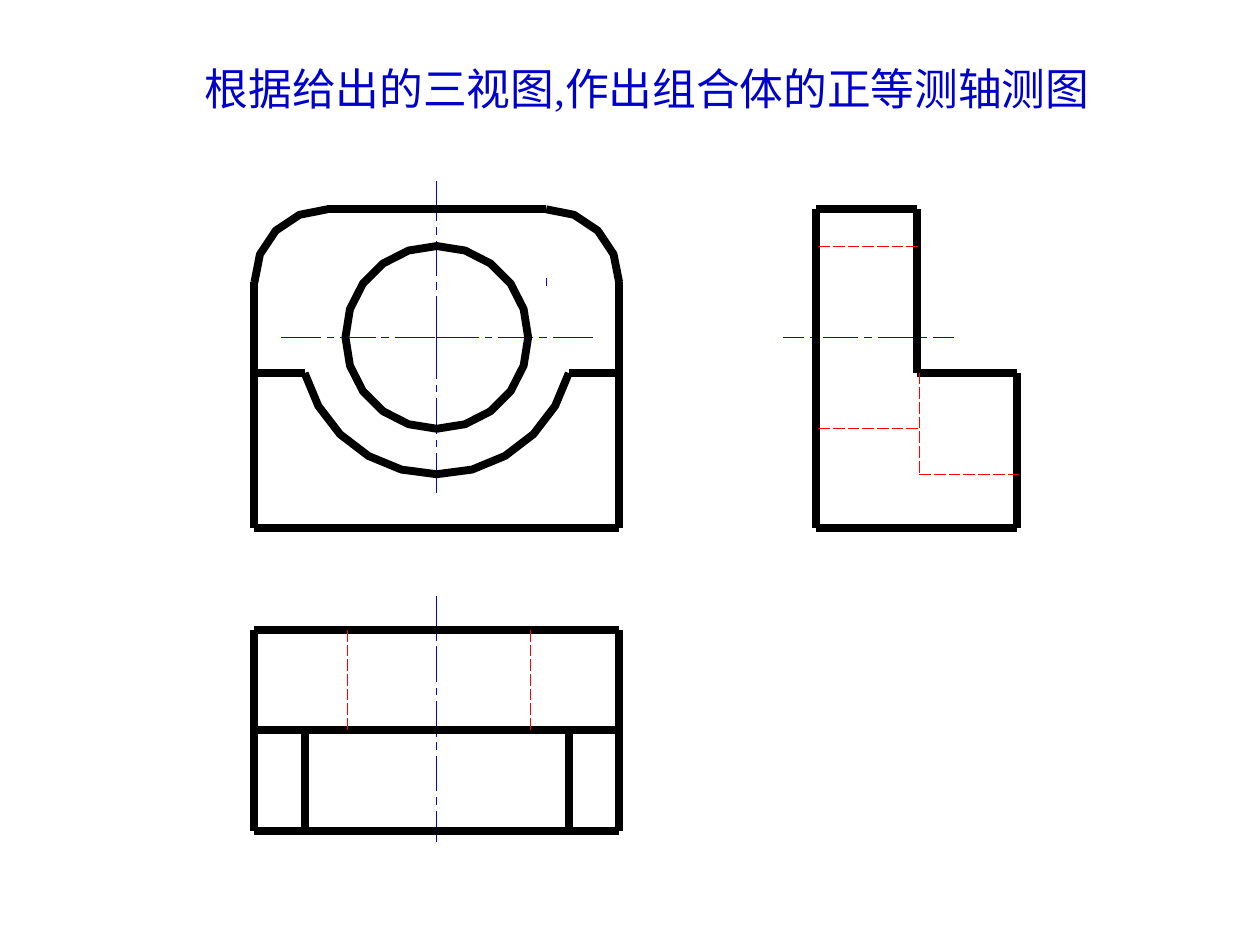
from dataclasses import dataclass
from itertools import pairwise
from math import asin, cos, degrees, radians, sin

from lxml.etree import SubElement
from pptx import Presentation
from pptx.dml.color import RGBColor as Color
from pptx.enum.dml import MSO_LINE as Dash
from pptx.enum.shapes import MSO_CONNECTOR as Link
from pptx.enum.text import MSO_ANCHOR as Anchor, PP_ALIGN as Align
from pptx.oxml.ns import qn
from pptx.util import Pt

Point = tuple[float, float]

HUES = {"edge": "000000", "axis": "0000FF", "hidden": "FF0000", "title": "0000CC"}


@dataclass(frozen=True)
class Pen:
    hue: str
    width: float = 0
    dash: Dash | None = None


@dataclass(frozen=True)
class Axis:
    start: Point
    end: Point
    marks: tuple[float, ...]


EDGE = Pen("edge", 4.5)
FINE = Pen("axis")
MARK = Pen("axis", 4.5)
HIDDEN = Pen("hidden", 0, Dash.LONG_DASH)

LEFT, MID, RIGHT = 145.4, 249.6, 353.8
TOP, STEP, BASE = 119.6, 213.2, 301.8
AXIS_Y = 192.8
ROUND, BORE, SEAT = 41.7, 52.2, 78.2
BACK, WALL, FRONT = 466.4, 524.2, 581.2
REAR, FOLD, NOSE = 360.2, 417.4, 474.8
SHIFT = 1.4
BEND = TOP + ROUND
INNER, OUTER = LEFT + ROUND, RIGHT - ROUND
TILT = degrees(asin((STEP - AXIS_Y) / SEAT))
REACH = SEAT * cos(radians(TILT))
NEAR, FAR = MID - REACH, MID + REACH

LONG, DOT, BAR = 22.4, 3.8, 19.6
HALF = (LONG, DOT, BAR, DOT, LONG)
PLAN = (17.4, DOT, BAR, DOT, BAR, DOT, BAR, DOT, 17.4)
SIDE = (11.4, DOT, BAR, DOT, BAR, DOT, 11.4)

AXES = [
    *(Axis((x, AXIS_Y), (x + 87.8, AXIS_Y), HALF) for x in (160.6, 250.8)),
    *(Axis((MID, y), (MID, y + 87.8), HALF) for y in (103.8, 193.8)),
    Axis((MID, 340.6), (MID, 481), PLAN),
    Axis((447.6, AXIS_Y), (544.6, AXIS_Y), SIDE),
]

CHAINS = [
    [(LEFT, BEND), (LEFT, STEP), (LEFT, BASE), (RIGHT, BASE), (RIGHT, STEP), (RIGHT, BEND)],
    [(INNER, TOP), (OUTER, TOP)],
    [(LEFT, STEP), (NEAR, STEP)],
    [(FAR, STEP), (RIGHT, STEP)],
    *([(x, y) for x in (LEFT, INNER, OUTER, RIGHT)] for y in (REAR, FOLD)),
    [(x, NOSE) for x in (LEFT, NEAR, FAR, RIGHT)],
    *([(x, REAR), (x, FOLD), (x, NOSE)] for x in (LEFT, RIGHT)),
    *([(x, FOLD), (x, NOSE)] for x in (NEAR, FAR)),
    [(BACK, TOP), (BACK, BEND), (BACK, BASE), (FRONT, BASE), (FRONT, STEP),
     (WALL, STEP), (WALL, BEND), (WALL, TOP), (BACK, TOP)],
]

DASHES = [
    *([(x + SHIFT, REAR), (x + SHIFT, FOLD)] for x in (MID - BORE, MID + BORE)),
    *([(BACK + SHIFT, y), (WALL + SHIFT, y)] for y in (AXIS_Y - BORE, AXIS_Y + BORE)),
    [(WALL + SHIFT, STEP), (WALL + SHIFT, AXIS_Y + SEAT), (FRONT + SHIFT, AXIS_Y + SEAT)],
]


def ink(item, pen: Pen) -> None:
    item.line.color.rgb = Color.from_string(HUES[pen.hue])
    if pen.dash:
        item.line.dash_style = pen.dash
    item.get_or_add_ln().set("w", str(Pt(pen.width)))


def chain(shapes, points: list[Point], pen: Pen) -> None:
    for (ax, ay), (bx, by) in pairwise(points):
        item = shapes.add_connector(Link.STRAIGHT, Pt(ax), Pt(ay), Pt(bx), Pt(by))
        ink(item, pen)
        SubElement(item._element.spPr, qn("a:effectLst"))


def arc(shapes, hub: Point, size: float, start: float, end: float, count: int) -> None:
    turns = [radians(start + (end - start) * i / count) for i in range(count + 1)]
    points = [(Pt(hub[0] + size * cos(t)), Pt(hub[1] + size * sin(t))) for t in turns]
    curve = shapes.build_freeform(*points[0])
    curve.add_line_segments(points[1:], close=False)
    item = curve.convert_to_shape()
    item.shadow.inherit = False
    item.fill.background()
    ink(item, EDGE)


def center(shapes, axis: Axis) -> None:
    (ax, ay), (bx, by) = axis.start, axis.end
    span = bx - ax + by - ay
    dx, dy = (bx - ax) / span, (by - ay) / span
    gap = (span - sum(axis.marks)) / (len(axis.marks) - 1)
    at = 0.0
    for mark in axis.marks:
        ends = [(ax + dx * d, ay + dy * d) for d in (at, at + mark)]
        chain(shapes, ends, FINE)
        at += mark + gap


def title(shapes, text: str) -> None:
    box = shapes.add_textbox(Pt(91.4), Pt(30.2), Pt(556.6), Pt(40.4))
    frame = box.text_frame
    frame.word_wrap = True
    frame.vertical_anchor = Anchor.MIDDLE
    para = frame.paragraphs[0]
    para.text = text
    para.alignment = Align.CENTER
    para.font.name = "Times New Roman"
    para.font.size = Pt(25)
    para.font.color.rgb = Color.from_string(HUES["title"])


def main() -> None:
    """Draw three views of a bearing block under a title."""
    deck = Presentation()
    deck.slide_width, deck.slide_height = Pt(720), Pt(540)
    shapes = deck.slides.add_slide(deck.slide_layouts[6]).shapes
    for axis in AXES:
        center(shapes, axis)
    chain(shapes, [(MID - 0.4, AXIS_Y), (MID + 0.4, AXIS_Y)], FINE)
    chain(shapes, [(MID, AXIS_Y + 0.4), (MID, AXIS_Y - 0.4)], FINE)
    chain(shapes, [(OUTER, BEND), (OUTER + 0.4, BEND)], MARK)
    for points in CHAINS:
        chain(shapes, points, EDGE)
    arc(shapes, (INNER, BEND), ROUND, 180, 270, 4)
    arc(shapes, (OUTER, BEND), ROUND, 270, 360, 4)
    arc(shapes, (MID, AXIS_Y), SEAT, TILT, 180 - TILT, 10)
    arc(shapes, (MID, AXIS_Y), BORE, 0, 360, 20)
    for points in DASHES:
        chain(shapes, points, HIDDEN)
    title(shapes, "根据给出的三视图,作出组合体的正等测轴测图")
    deck.save("out.pptx")


if __name__ == "__main__":
    main()
